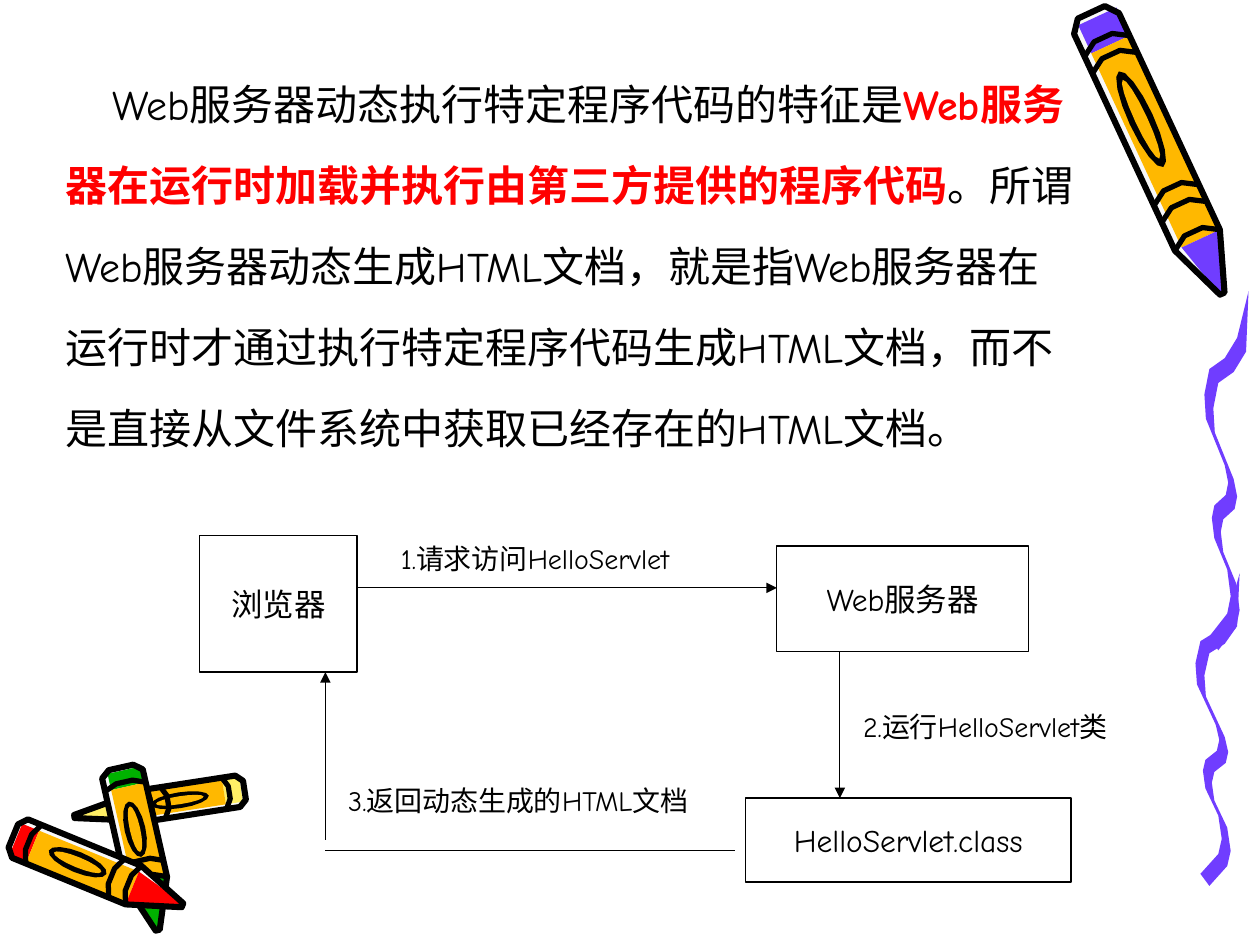
import math

import pptx
import pptx.dml.color
import pptx.enum.shapes
import pptx.enum.text
import pptx.oxml.ns
import pptx.util
from lxml import etree

Cm = pptx.util.Cm
Pt = pptx.util.Pt
RGBColor = pptx.dml.color.RGBColor
TEXT = pptx.enum.text

BLACK = RGBColor(0, 0, 0)
RED = RGBColor(255, 0, 0)
GOLD = RGBColor(0xFF, 0xB8, 0x00)
LEMON = RGBColor(0xFF, 0xEF, 0x66)
GREEN = RGBColor(0x00, 0xB2, 0x00)
PURPLE = RGBColor(0x70, 0x3D, 0xFF)
PALE = RGBColor(0xF8, 0xF8, 0xF8)
FONT = "Comic Neue"

# Crayons in cm: tail, tip, half width (its sign picks the painted side),
# share of the length before the cone, bands at each end, wax colour
CRAYONS = [
    ((4.93, 15.93), (1.5, 16.46), 0.32, 0.58, 1, LEMON),
    ((2.44, 15.47), (3.18, 18.75), -0.42, 0.7, 1, GREEN),
    ((0.27, 16.85), (3.68, 18.25), 0.42, 0.71, 1, RED),
    ((22, 0.25), (24.64, 5.92), -0.5, 0.81, 2, PURPLE),
]
CAP = 0.12   # where the coloured tail ends, as a share of the length
GAP = 0.06   # from one band to the next
LEAN = -0.7  # paint stops short of the outline on one side

# Wavy stroke: its spine from the top down, and the slant of the broad nib
SPINE = [
    (0.89, 0), (0.66, 0.94), (0.41, 1.35), (0.1, 1.57), (0, 2.08), (0.03, 2.57),
    (0.41, 3.51), (0.48, 3.86), (0.43, 4.11), (0.2, 4.32), (0.15, 4.57), (0.2, 4.98),
    (0.46, 5.61), (0.53, 6.15), (0.46, 6.5), (0.1, 6.96),
]
NIB = (0.18, 0.28)
WAVES = [(24.1, 11.56, 0.87), (24.28, 5.87, 1)]  # left, top, stretch

# Body lines, each a list of (text, is key phrase)
LINES = [
    [("\tWeb服务器动态执行特定程序代码的特征是", False), ("Web服务", True)],
    [("器在运行时加载并执行由第三方提供的程序代码", True), ("。所谓", False)],
    [("Web服务器动态生成HTML文档，就是指Web服务器在", False)],
    [("运行时才通过执行特定程序代码生成HTML文档，而不", False)],
    [("是直接从文件系统中获取已经存在的HTML文档。", False)],
]


def add_run(para, text, size, color=BLACK, bold=False):
    run = para.add_run()
    run.text = text
    font = run.font
    font.name, font.size, font.bold = FONT, Pt(size), bold
    font.color.rgb = color


def add_path(group, points, fill=None, width=0, close=True):
    """Draw points given in cm, filled or as a black stroke."""
    spots = [(Cm(x), Cm(y)) for x, y in points]
    pen = group.shapes.build_freeform(*spots[0])
    pen.add_line_segments(spots[1:], close=close)
    shape = pen.convert_to_shape()
    shape.shadow.inherit = False
    if fill is None:
        shape.fill.background()
    else:
        shape.fill.solid()
        shape.fill.fore_color.rgb = fill
    if width:
        shape.line.color.rgb = BLACK
        shape.line.width = Pt(width)
    else:
        shape.line.fill.background()


def add_crayon(slide, tail, tip, half, neck, bands, wax):
    group = slide.shapes.add_group_shape()
    run, rise = tip[0] - tail[0], tip[1] - tail[1]
    size = math.hypot(run, rise)

    def place(points):
        """Turn (share along, share across) into cm on the slide."""
        return [(tail[0] + run * a - rise / size * half * b,
                 tail[1] + rise * a + run / size * half * b) for a, b in points]

    def block(start, end):
        return [(start, LEAN), (end, LEAN), (end, 1), (start, 1)]

    def oval(long, wide):
        steps = [math.tau * step / 16 for step in range(16)]
        return [(0.38 + long * math.cos(t), wide * math.sin(t)) for t in steps]

    outline = [(0, -0.6), (0, 0.6), (0.04, 1), (neck, 1), (1, 0.1),
               (1, -0.1), (neck, -1), (0.04, -1)]
    cone = [(neck, LEAN), (neck, 1), (1, 0.1), (1, -0.1)]

    # Paint from the paper up
    paint = [(PALE, outline), (wax, block(0.02, CAP)), (GOLD, block(CAP, neck)),
             (wax, cone), (BLACK, oval(0.17, 0.5)), (GOLD, oval(0.14, 0.25))]
    for color, points in paint:
        add_path(group, place(points), color)

    # Ink: outline, neck and bowed bands
    add_path(group, place(outline), width=3.5)
    rings = [neck]
    for band in range(bands):
        rings += [CAP + band * GAP, neck - 0.1 - band * GAP]
    for ring in rings:
        bow = [(ring, -1), (ring - 0.03, -0.4), (ring - 0.03, 0.4), (ring, 1)]
        add_path(group, place(bow), width=3, close=False)


def add_wave(slide, left, top, scale):
    down = [(left + x, top + y * scale) for x, y in SPINE]
    back = [(x + NIB[0], y + NIB[1] * scale) for x, y in down[:0:-1]]
    add_path(slide, down + back, PURPLE)


def add_link(slide, start, end, arrow=True):
    kind = pptx.enum.shapes.MSO_CONNECTOR.STRAIGHT
    link = slide.shapes.add_connector(kind, *start, *end)
    link.line.color.rgb = BLACK
    link.line.width = Pt(0.75)
    if arrow:
        tag = pptx.oxml.ns.qn("a:tailEnd")
        etree.SubElement(link.line._get_or_add_ln(), tag, type="triangle")
    etree.SubElement(link._element.spPr, pptx.oxml.ns.qn("a:effectLst"))


def add_box(slide, text, *place):
    kind = pptx.enum.shapes.MSO_SHAPE.RECTANGLE
    box = slide.shapes.add_shape(kind, *map(Cm, place))
    box.shadow.inherit = False
    box.fill.background()
    box.line.color.rgb = BLACK
    box.line.width = Pt(0.75)
    frame = box.text_frame
    frame.word_wrap = False
    frame.vertical_anchor = TEXT.MSO_ANCHOR.MIDDLE
    frame.paragraphs[0].alignment = TEXT.PP_ALIGN.CENTER
    add_run(frame.paragraphs[0], text, 18)
    return box


def add_label(slide, text, left, top, width):
    frame = slide.shapes.add_textbox(Cm(left), Cm(top), Cm(width), Cm(0.94)).text_frame
    frame.word_wrap = True
    frame.auto_size = TEXT.MSO_AUTO_SIZE.SHAPE_TO_FIT_TEXT
    frame.paragraphs[0].space_before = Pt(10)
    add_run(frame.paragraphs[0], text, 16)


def fill_body(body):
    body.left, body.top, body.width, body.height = map(Cm, (1.07, 1.05, 21.39, 8.69))
    frame = body.text_frame
    frame.auto_size = TEXT.MSO_AUTO_SIZE.NONE
    for row, line in enumerate(LINES):
        para = frame.add_paragraph() if row else frame.paragraphs[0]
        para.line_spacing = 1.4
        para.space_before = Pt(6)
        props = para._p.get_or_add_pPr()
        props.set("marL", str(Cm(0.95)))
        props.set("indent", str(-Cm(0.95)))
        etree.SubElement(props, pptx.oxml.ns.qn("a:buNone"))
        for text, key in line:
            add_run(para, text, 24, RED if key else BLACK, key)


def draw_flow(slide):
    client = add_box(slide, "浏览器", 4.02, 10.8, 3.18, 2.75)
    server = add_box(slide, "Web服务器", 15.66, 11.01, 5.08, 2.12)
    code = add_box(slide, "HelloServlet.class", 15.03, 16.09, 6.56, 1.69)

    # Arrows run from box edge to box edge
    ask, call, back = Cm(11.85), Cm(16.93), Cm(6.56)
    add_link(slide, (client.left + client.width, ask), (server.left, ask))
    add_link(slide, (call, server.top + server.height), (call, code.top))
    add_link(slide, (back, Cm(17.15)), (code.left - Cm(0.21), Cm(17.15)), arrow=False)
    add_link(slide, (back, Cm(16.93)), (back, client.top + client.height))

    add_label(slide, "1.请求访问HelloServlet", 7.83, 10.8, 7.2)
    add_label(slide, "2.运行HelloServlet类", 17.15, 14.18, 7.2)
    add_label(slide, "3.返回动态生成的HTML文档", 6.77, 15.67, 8.47)


def main():
    deck = pptx.Presentation()
    deck.slide_width, deck.slide_height = Cm(25.4), Cm(19.05)
    slide = deck.slides.add_slide(deck.slide_layouts[1])
    title = slide.shapes.title._element
    title.getparent().remove(title)

    for wave in WAVES:
        add_wave(slide, *wave)
    for crayon in CRAYONS:
        add_crayon(slide, *crayon)
    fill_body(slide.placeholders[1])
    draw_flow(slide)
    deck.save("out.pptx")


if __name__ == "__main__":
    main()
